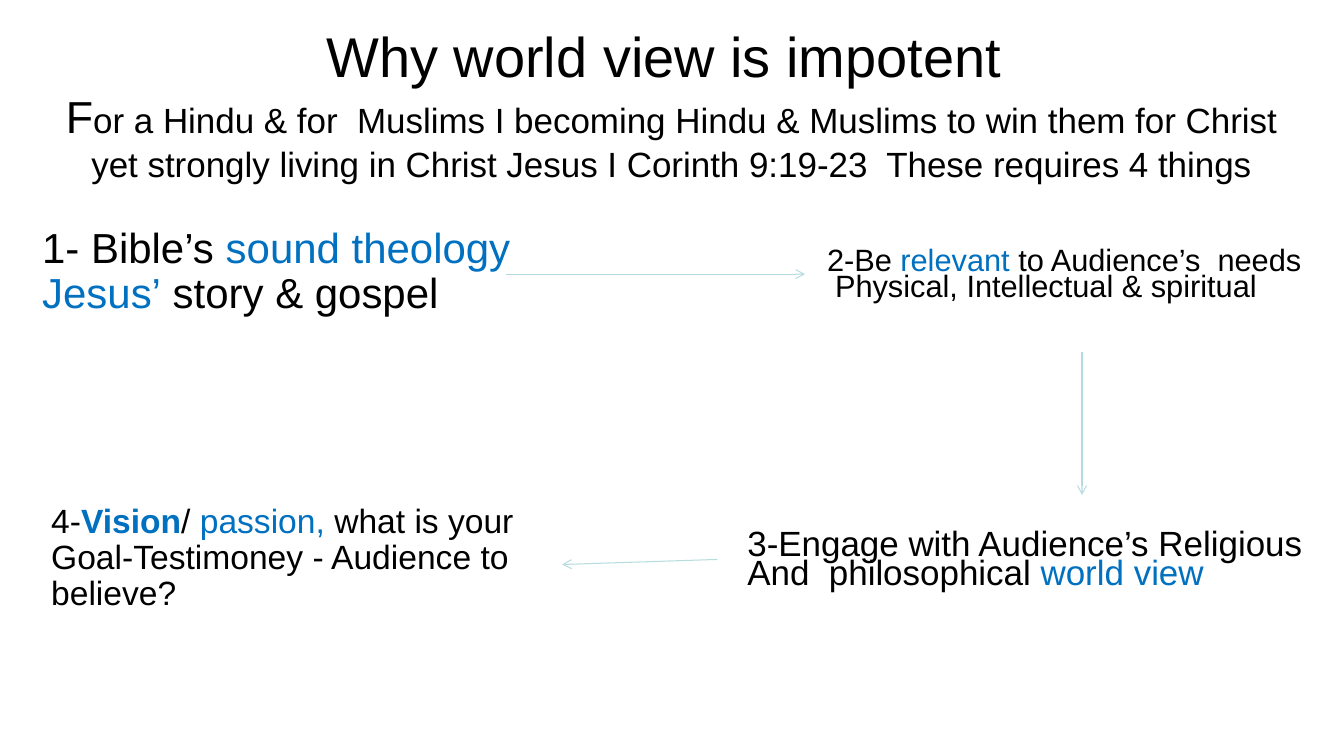
from lxml import etree
from pptx import Presentation
from pptx import util as u
from pptx.dml.color import RGBColor
from pptx.enum import shapes, text
from pptx.oxml.ns import qn

PX = 9144
THEME = {
    "font": "Arial",
    "ink": RGBColor.from_string("000000"),
    "accent": RGBColor.from_string("0070C0"),
    "arrow": RGBColor.from_string("B6DCDF"),
    "title": 40, "initial": 32, "lead": 25,
    "theology": 30, "needs": 22, "engage": 25, "vision": 24,
}


def add_box(left, top, width, height):
    box = page.shapes.add_textbox(left * PX, top * PX, width * PX, height * PX)
    box.text_frame.word_wrap = True
    box.text_frame.vertical_anchor = text.MSO_ANCHOR.MIDDLE
    return box.text_frame


def add_span(para, words, size, color="ink", bold=False):
    span = para.add_run()
    span.text = words
    span.font.name = THEME["font"]
    span.font.size = u.Pt(THEME[size])
    span.font.color.rgb = THEME[color]
    span.font.bold = bold


deck = Presentation()
deck.slide_width = 1334 * PX
deck.slide_height = 750 * PX
page = deck.slides.add_slide(deck.slide_layouts[6])

heading = add_box(46, 21, 1241, 163).paragraphs[0]
heading.alignment = text.PP_ALIGN.CENTER
add_span(heading, "Why world view is impotent ", "title")
heading.add_line_break()
add_span(heading, "F", "initial")
add_span(heading, "or a Hindu & for  Muslims I becoming Hindu & Muslims to win them for Christ", "lead")
heading.add_line_break()
add_span(heading, "yet strongly living in Christ Jesus I Corinth 9:19-23  These requires 4 things", "lead")

steps = [
    ((32, 218, 506, 105), "theology", 0.9, [
        (0, [("1- Bible’s ",), ("sound theology", "accent")]),
        (0, [("Jesus’", "accent"), (" story & gospel",)]),
    ]),
    ((777, 225, 531, 100), "needs", 0.7, [
        (34, [("2-Be ",), ("relevant ", "accent"), ("to Audience’s  needs",)]),
        (42, [("Physical, Intellectual & spiritual",)]),
    ]),
    ((732, 514, 592, 88), "engage", 0.7, [
        (0, [("3-Engage with Audience’s Religious",)]),
        (0, [("And  philosophical ",), ("world view", "accent")]),
    ]),
    ((41, 478, 498, 152), "vision", 0.9, [
        (0, [("4-",), ("Vision", "accent", True), ("/ ",), ("passion,", "accent"), (" what is your",)]),
        (0, [("Goal-Testimoney - Audience to believe?",)]),
    ]),
]
for place, size, spacing, lines in steps:
    frame = add_box(*place)
    for index, (indent, spans) in enumerate(lines):
        para = frame.add_paragraph() if index else frame.paragraphs[0]
        para.line_spacing = spacing
        if indent:
            para._p.get_or_add_pPr().set("marL", str(indent * PX))
        for words, *style in spans:
            add_span(para, words, size, *style)

arrows = [(1074, 349, 1074, 491), (502, 272, 799, 272), (712, 555, 558, 560)]
for ends in arrows:
    arrow = page.shapes.add_connector(shapes.MSO_CONNECTOR.STRAIGHT, *[end * PX for end in ends])
    arrow.line.color.rgb = THEME["arrow"]
    arrow.line.width = u.Pt(0.75)
    etree.SubElement(arrow.line._get_or_add_ln(), qn("a:tailEnd"), type="arrow")
    etree.SubElement(arrow._element.spPr, qn("a:effectLst"))

deck.save("out.pptx")
